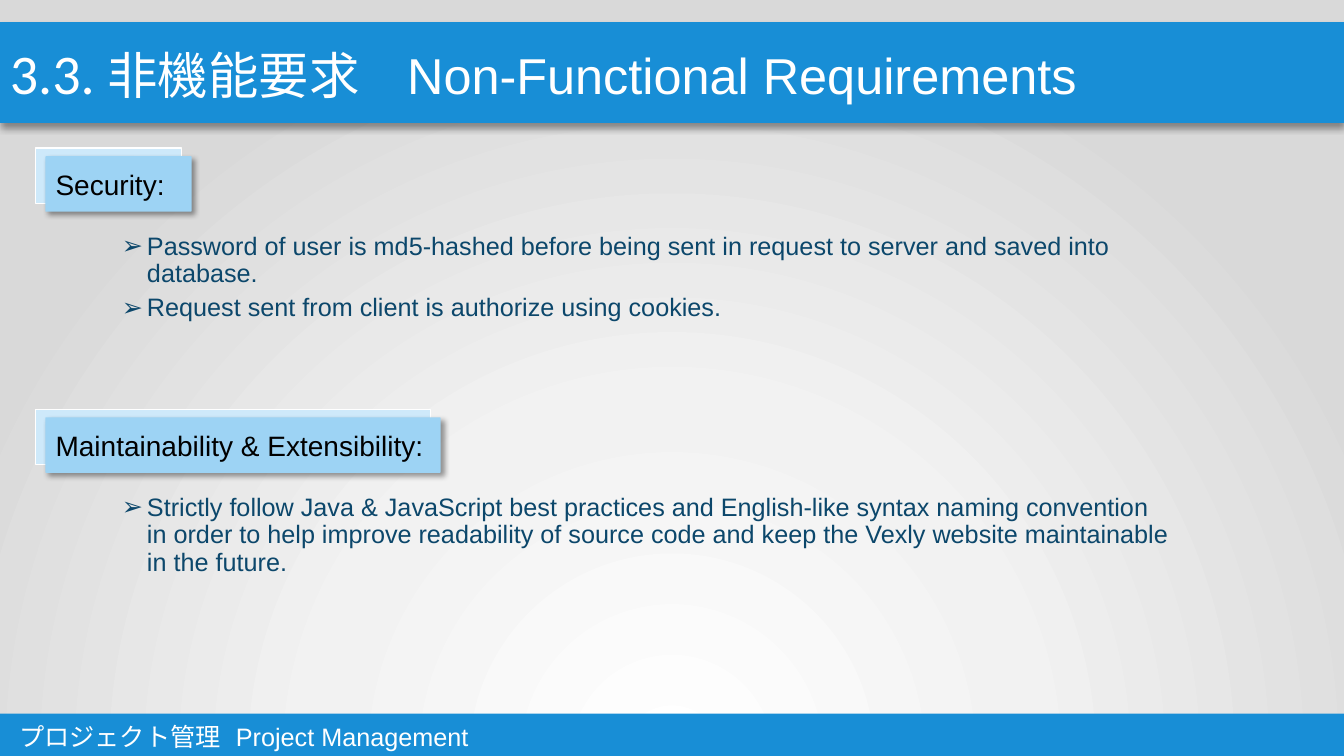
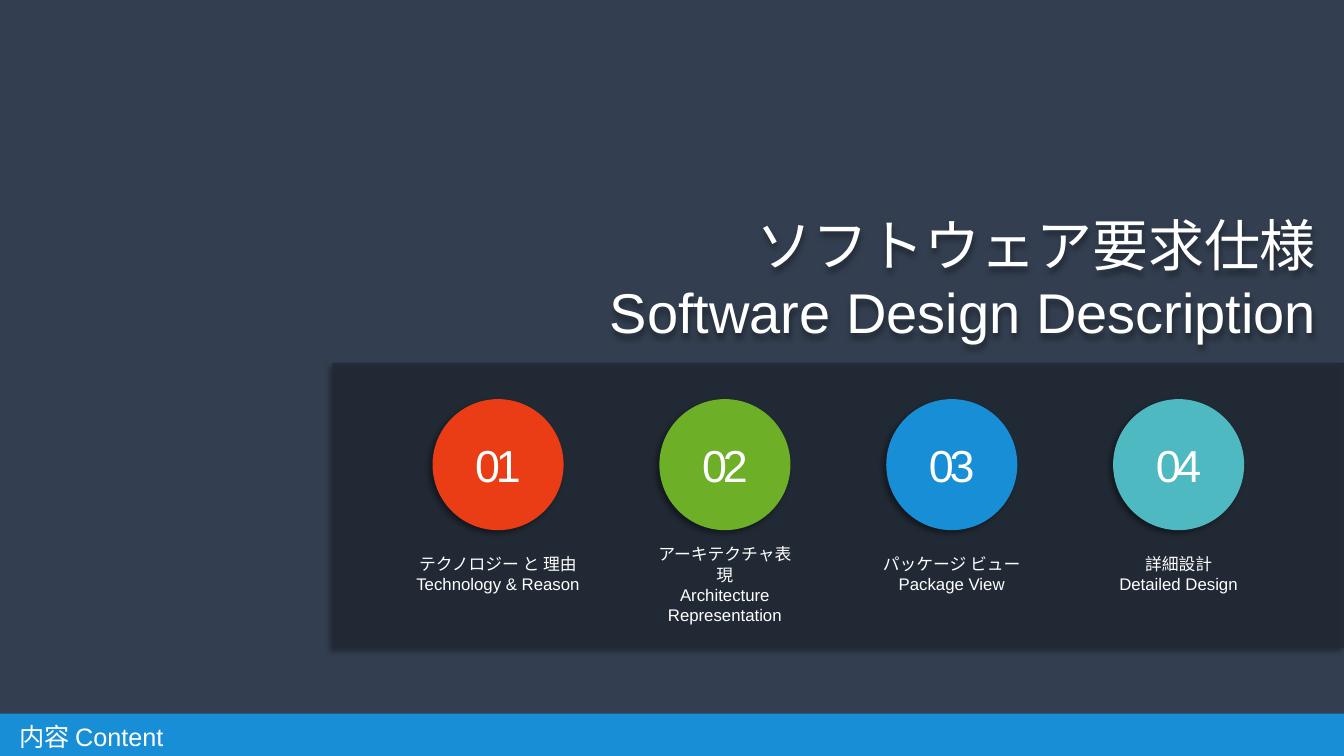
"""Build two slides of a software project deck: requirements and a section opener."""

from dataclasses import dataclass

from lxml.etree import SubElement
from pptx import Presentation
from pptx.dml.color import RGBColor
from pptx.enum.shapes import MSO_SHAPE
from pptx.enum.text import MSO_ANCHOR, PP_ALIGN
from pptx.oxml import parse_xml
from pptx.oxml.ns import nsdecls, qn
from pptx.presentation import Presentation as Deck
from pptx.shapes.autoshape import Shape
from pptx.slide import Slide
from pptx.util import Inches, Pt


@dataclass(frozen=True)
class Theme:
    """Colours, fonts and type sizes of the deck."""
    blue: str = "188ED6"
    white: str = "FFFFFF"
    black: str = "000000"
    tag_back: str = "CEE9FA"
    tag_front: str = "9DD3F4"
    body: str = "0C476B"
    slate: str = "333F50"
    panel: str = "222A35"
    red: str = "EA3D15"
    green: str = "6DAF27"
    teal: str = "4EB9C1"
    font: str = "Arial"
    number_font: str = "Calibri"
    label_size: int = 12
    text_size: int = 18
    tag_size: int = 20
    circle_size: int = 32
    title_size: int = 36
    big_size: int = 40


THEME = Theme()
WIDTH = 13.33
HEIGHT = 7.5


@dataclass(frozen=True)
class Frame:
    """Left, top, width and height in inches."""
    left: float
    top: float
    width: float
    height: float

    def lengths(self) -> tuple:
        """Return the four lengths."""
        return tuple(Inches(value) for value in (self.left, self.top, self.width, self.height))


@dataclass(frozen=True)
class Shadow:
    """Blur, distance in points and direction in degrees."""
    blur: int
    distance: int
    direction: int


@dataclass(frozen=True)
class Section:
    """A tagged group of bullets."""
    top: float
    tag_width: float
    heading: str
    bullets: tuple[str, ...]


@dataclass(frozen=True)
class Topic:
    """A numbered circle with its two-language label."""
    color: str
    lines: tuple[str, str]
    label_top: float = 5.44
    label_width: float = 1.66


SECTIONS = (
    Section(1.47, 1.45, "Security:", (
        "Password of user is md5-hashed before being sent in request to server and saved into database.",
        "Request sent from client is authorize using cookies.",
    )),
    Section(4.06, 3.92, "Maintainability & Extensibility:", (
        "Strictly follow Java & JavaScript best practices and English-like syntax naming convention "
        "in order to help improve readability of source code and keep the Vexly website "
        "maintainable in the future.",
    )),
)

TOPICS = (
    Topic(THEME.red, ("テクノロジー と 理由", "Technology & Reason"), label_width=1.91),
    Topic(THEME.green, ("アーキテクチャ表現", "Architecture Representation"), label_top=5.35),
    Topic(THEME.blue, ("パッケージ ビュー", "Package View")),
    Topic(THEME.teal, ("詳細設計", "Detailed Design")),
)


def rgb(color: str) -> RGBColor:
    """Turn a hex string into a colour."""
    return RGBColor.from_string(color)


def add_shadow(shape: Shape, shadow: Shadow) -> None:
    """Give a shape a soft black shadow."""
    shape.shadow.inherit = False
    effects = shape.element.spPr.find(qn("a:effectLst"))
    outer = SubElement(effects, qn("a:outerShdw"), blurRad=str(Pt(shadow.blur)),
                       dist=str(Pt(shadow.distance)), dir=str(shadow.direction * 60000),
                       algn="ctr", rotWithShape="0")
    color = SubElement(outer, qn("a:srgbClr"), val=THEME.black)
    SubElement(color, qn("a:alpha"), val="40000")


def add_block(slide: Slide, kind: MSO_SHAPE, frame: Frame, color: str,
              shadow: Shadow | None = None) -> Shape:
    """Draw a filled shape without an outline."""
    block = slide.shapes.add_shape(kind, *frame.lengths())
    block.fill.solid()
    block.fill.fore_color.rgb = rgb(color)
    block.line.fill.background()
    block.shadow.inherit = False
    if shadow:
        add_shadow(block, shadow)
    return block


def add_text_box(slide: Slide, frame: Frame) -> Shape:
    """Add an empty wrapping text box."""
    box = slide.shapes.add_textbox(*frame.lengths())
    box.text_frame.word_wrap = True
    return box


def write(box: Shape, lines: tuple[str, ...], size: int, color: str = THEME.white,
          align: PP_ALIGN = PP_ALIGN.LEFT, anchor: MSO_ANCHOR = MSO_ANCHOR.TOP) -> None:
    """Fill a box with one paragraph a line and format it."""
    box.text_frame.text = "\n".join(lines)
    box.text_frame.vertical_anchor = anchor
    for para in box.text_frame.paragraphs:
        para.alignment = align
        for span in para.runs:
            span.font.size = Pt(size)
            span.font.name = THEME.font
            span.font.color.rgb = rgb(color)


def add_tab_stop(box: Shape, position: float) -> None:
    """Set a left tab stop on the first paragraph."""
    properties = box.text_frame.paragraphs[0]._p.get_or_add_pPr()
    stops = SubElement(properties, qn("a:tabLst"))
    SubElement(stops, qn("a:tab"), pos=str(Inches(position)), algn="l")


def add_footer(slide: Slide, text: str) -> Shape:
    """Draw the blue strip at the foot of the slide."""
    top = 7.08
    footer = add_block(slide, MSO_SHAPE.RECTANGLE, Frame(0, top, WIDTH, HEIGHT - top), THEME.blue)
    footer.text_frame.margin_left = Inches(0.19)
    footer.text_frame.margin_top = Inches(0.08)
    footer.text_frame.margin_bottom = 0
    write(footer, (text,), THEME.text_size)
    return footer


def add_title_band(slide: Slide, number: str, text: str, tab: float) -> None:
    """Draw the title band with its section number."""
    band = add_block(slide, MSO_SHAPE.RECTANGLE, Frame(0, 0.22, WIDTH, 1), THEME.blue, Shadow(5, 3, 90))
    band.text_frame.margin_top = Inches(0.16)
    write(band, (number,), THEME.big_size)
    para = band.text_frame.paragraphs[0]
    para.runs[0].font.name = THEME.number_font
    span = para.add_run()
    span.text = text
    span.font.size = Pt(THEME.title_size)
    span.font.name = THEME.font
    span.font.color.rgb = rgb(THEME.white)
    add_tab_stop(band, tab)


def set_radial_background(slide: Slide) -> None:
    """Fill the background with a white to grey radial gradient."""
    slide.background.fill.solid()
    properties = slide.element.find(".//" + qn("p:bgPr"))
    stops = "".join(
        f'<a:gs pos="{position}000"><a:srgbClr val="{color}"/></a:gs>'
        for position, color in ((0, "FFFFFF"), (46, "F2F2F2"), (100, "D9D9D9"))
    )
    gradient = parse_xml(
        f'<a:gradFill {nsdecls("a")} rotWithShape="1"><a:gsLst>{stops}</a:gsLst><a:path path="circle">'
        '<a:fillToRect l="50000" t="130000" r="50000" b="-30000"/></a:path></a:gradFill>'
    )
    properties.replace(properties[0], gradient)


def add_section(slide: Slide, section: Section) -> None:
    """Draw a section tag and its bullets."""
    back = add_block(slide, MSO_SHAPE.RECTANGLE,
                     Frame(0.35, section.top, section.tag_width, 0.55), THEME.tag_back)
    back.line.color.rgb = rgb(THEME.white)
    back.line.width = Pt(1)
    front = add_block(slide, MSO_SHAPE.ROUNDED_RECTANGLE,
                      Frame(0.45, section.top + 0.08, section.tag_width, 0.55),
                      THEME.tag_front, Shadow(4, 3, 45))
    front.adjustments[0] = 0.015
    write(front, (section.heading,), THEME.tag_size, THEME.black, anchor=MSO_ANCHOR.MIDDLE)

    box = add_text_box(slide, Frame(0.61, section.top + 0.8, 11.13, 1.1))
    write(box, section.bullets, THEME.text_size, THEME.body)
    for index, para in enumerate(box.text_frame.paragraphs):
        para.level = 1
        properties = para._p.get_or_add_pPr()
        properties.set("marL", str(Inches(0.75)))
        properties.set("indent", str(Inches(-0.25)))
        SubElement(properties, qn("a:buFont"), typeface=THEME.font)
        SubElement(properties, qn("a:buChar"), char="➢")
        para.line_spacing = 0.9
        if index:
            para.space_before = Pt(5)


def add_topic(slide: Slide, index: int, topic: Topic) -> None:
    """Draw a numbered circle and the label under it."""
    diameter = 1.3
    center = 4.94 + 2.25 * index
    circle = add_block(slide, MSO_SHAPE.OVAL, Frame(center - diameter / 2, 3.96, diameter, diameter),
                       topic.color, Shadow(4, 3, 135))
    circle.text_frame.margin_left = circle.text_frame.margin_right = 0
    write(circle, (f"{index + 1:02d}",), THEME.circle_size, align=PP_ALIGN.CENTER, anchor=MSO_ANCHOR.MIDDLE)
    circle.text_frame.paragraphs[0].runs[0]._r.get_or_add_rPr().set("spc", "-300")
    label = add_text_box(slide, Frame(center - topic.label_width / 2, topic.label_top, topic.label_width, 0.5))
    write(label, topic.lines, THEME.label_size, align=PP_ALIGN.CENTER)


def build_requirements(deck: Deck) -> None:
    """Build the non-functional requirements slide."""
    page = deck.slides.add_slide(deck.slide_layouts[6])
    set_radial_background(page)
    footer = add_footer(page, "プロジェクト管理\tProject Management")
    add_tab_stop(footer, 2.15)
    add_title_band(page, "3.3. ", "非機能要求\tNon-Functional Requirements", 3.94)
    for section in SECTIONS:
        add_section(page, section)


def build_opener(deck: Deck) -> None:
    """Build the design description opener."""
    page = deck.slides.add_slide(deck.slide_layouts[6])
    page.background.fill.solid()
    page.background.fill.fore_color.rgb = rgb(THEME.slate)
    left = 3.3
    panel = add_block(page, MSO_SHAPE.RECTANGLE, Frame(left, 3.6, WIDTH - left, 2.83),
                      THEME.panel, Shadow(4, 3, 135))
    color = panel.element.spPr.find(".//" + qn("a:srgbClr"))
    SubElement(color, qn("a:alpha"), val="90000")
    for index, topic in enumerate(TOPICS):
        add_topic(page, index, topic)
    title = add_text_box(page, Frame(5.87, 2.04, 7.28, 1.45))
    write(title, ("ソフトウェア要求仕様", "Software Design Description"), THEME.big_size, align=PP_ALIGN.RIGHT)
    add_shadow(title, Shadow(4, 3, 90))
    add_footer(page, "内容 Content")


def main() -> None:
    """Build and save the deck."""
    deck = Presentation()
    deck.slide_width = Inches(WIDTH)
    deck.slide_height = Inches(HEIGHT)
    build_requirements(deck)
    build_opener(deck)
    deck.save("out.pptx")


if __name__ == "__main__":
    main()
